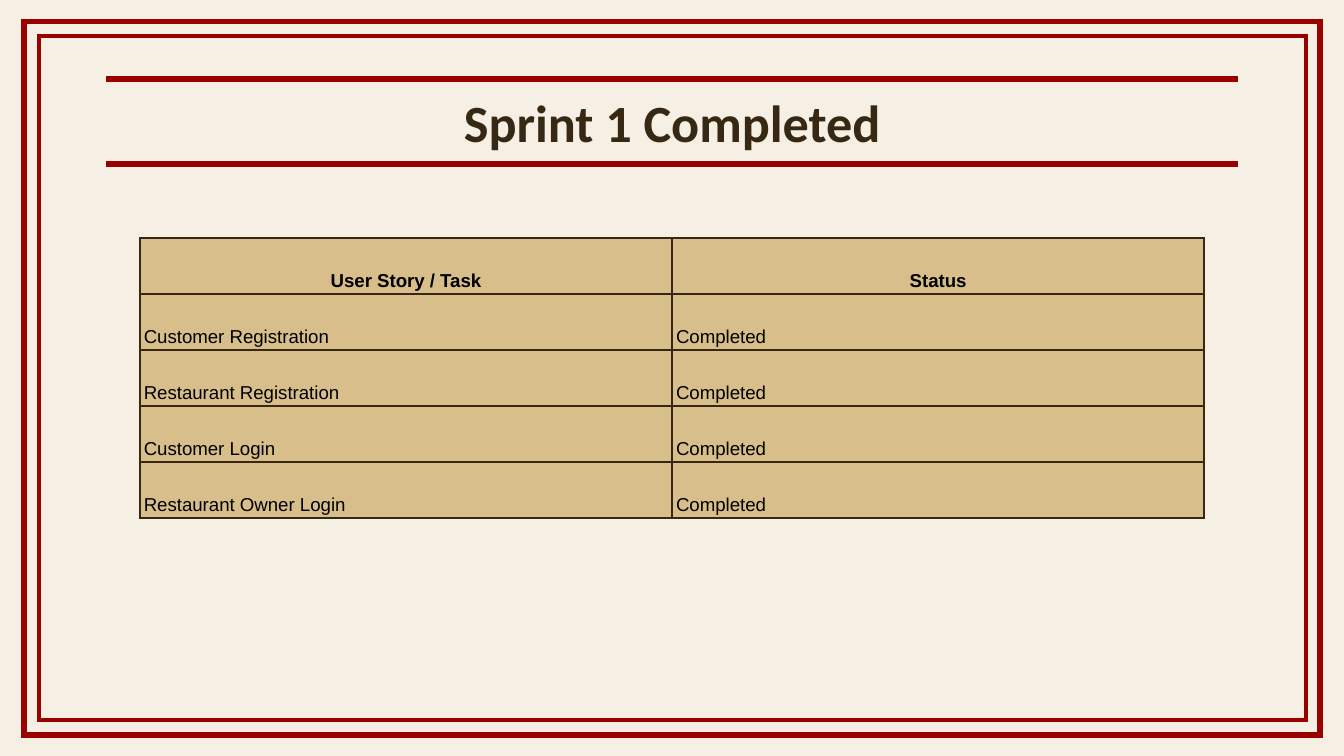
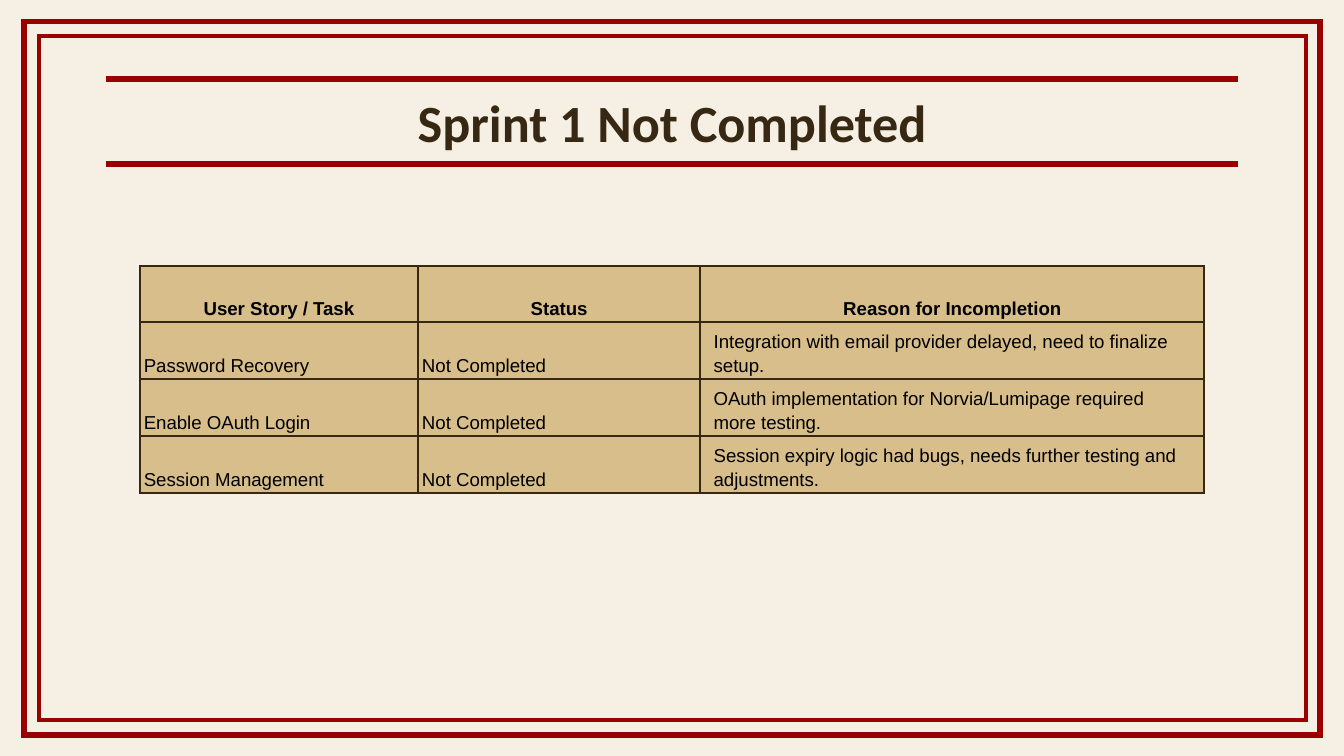
from lxml import etree
from pptx import Presentation
from pptx.dml.color import RGBColor
from pptx.enum.shapes import MSO_CONNECTOR, MSO_SHAPE
from pptx.enum.text import MSO_ANCHOR, PP_ALIGN
from pptx.oxml import parse_xml
from pptx.oxml.ns import nsdecls, qn
from pptx.util import Inches, Pt

RECT, STRAIGHT = MSO_SHAPE.RECTANGLE, MSO_CONNECTOR.STRAIGHT
MIDDLE, BOTTOM = MSO_ANCHOR.MIDDLE, MSO_ANCHOR.BOTTOM
LEFT, CENTER = PP_ALIGN.LEFT, PP_ALIGN.CENTER

CREAM = RGBColor(0xF6, 0xF0, 0xE4)
RED = RGBColor(0x99, 0x00, 0x00)
BROWN = RGBColor(0x37, 0x28, 0x14)
TAN = RGBColor(0xD8, 0xBE, 0x8B)
BLACK = RGBColor(0x00, 0x00, 0x00)

WIDTH = 10
HEIGHT = WIDTH * 9 / 16
FRAMES = [((0.18, 0.16, 9.64, 5.31), 3), ((0.29, 0.27, 9.43, 5.09), 2.25)]
TITLE_BOX = (0.79, 0.59, 8.42, 0.63)
TABLE_LEFT, ROW_HEIGHT = 1.04, 5 / 12
NARROW, WIDE = 0.03, 0.1

TITLE_FONT = {"name": "Calibri", "size": Pt(28), "bold": True}
HEAD_FONT = {"name": "Arial", "size": Pt(10), "bold": True}
BODY_FONT = {**HEAD_FONT, "bold": False}

SLIDES = [
    {
        "title": "Sprint 1 Completed",
        "top": 1.77,
        "widths": [3.96, 3.96],
        "rows": [
            ["User Story / Task", "Status"],
            ["Customer Registration", "Completed"],
            ["Restaurant Registration", "Completed"],
            ["Customer Login", "Completed"],
            ["Restaurant Owner Login", "Completed"],
        ],
    },
    {
        "title": "Sprint 1 Not Completed",
        "top": 1.98,
        "widths": [2.07, 2.1, 3.75],
        "rows": [
            ["User Story / Task", "Status", "Reason for Incompletion"],
            ["Password Recovery", "Not Completed",
             "Integration with email provider delayed, need to finalize setup."],
            ["Enable OAuth Login", "Not Completed",
             "OAuth implementation for Norvia/Lumipage required more testing."],
            ["Session Management", "Not Completed",
             "Session expiry logic had bugs, needs further testing and adjustments."],
        ],
    },
]


def set_attrs(obj, values):
    """Set each named attribute of an object."""
    for name, value in values.items():
        setattr(obj, name, value)


def write(tf, text, font, color, align, spacing=1.0):
    """Write one formatted paragraph into a text frame."""
    p = tf.paragraphs[0]
    set_attrs(p, {"alignment": align, "line_spacing": spacing})
    r = p.add_run()
    r.text = text
    set_attrs(r.font, font)
    r.font.color.rgb = color


def add_frame(s):
    """Draw the background and the double border with square corners."""
    s.background.fill.solid()
    s.background.fill.fore_color.rgb = CREAM
    for box, weight in FRAMES:
        sp = s.shapes.add_shape(RECT, *map(Inches, box))
        sp.shadow.inherit = False
        sp.fill.background()
        sp.line.color.rgb = RED
        sp.line.width = Pt(weight)
        ln = sp._element.spPr.find(qn("a:ln"))
        etree.SubElement(ln, qn("a:miter")).set("lim", "800000")


def add_title(s, box, text):
    """Draw the title between a rule above and a rule below."""
    x, y, w, h = box
    tf = s.shapes.add_textbox(*map(Inches, box)).text_frame
    sides = ("margin_left", "margin_top", "margin_right", "margin_bottom")
    set_attrs(tf, {"word_wrap": True, "vertical_anchor": MIDDLE,
                   **dict.fromkeys(sides, Inches(0.1))})
    write(tf, text, TITLE_FONT, BROWN, CENTER)
    for rule_y in (y, y + h):
        ends = (x, rule_y, x + w, rule_y)
        rule = s.shapes.add_connector(STRAIGHT, *map(Inches, ends))
        rule.line.color.rgb = RED
        rule.line.width = Pt(3)
        etree.SubElement(rule._element.spPr, qn("a:effectLst"))


def style_cell(cell, pad):
    """Give a cell its borders, fill and margins."""
    tc_pr = cell._tc.get_or_add_tcPr()
    for side in ("lnL", "lnR", "lnT", "lnB"):
        tc_pr.append(parse_xml(
            f'<a:{side} {nsdecls("a")} w="{Pt(1)}"><a:solidFill>'
            f'<a:srgbClr val="{BROWN}"/></a:solidFill></a:{side}>'))
    cell.fill.solid()
    cell.fill.fore_color.rgb = TAN
    set_attrs(cell, {"vertical_anchor": BOTTOM,
                     "margin_left": Inches(pad), "margin_right": Inches(pad),
                     "margin_top": Inches(0.02), "margin_bottom": Inches(0.02)})


def add_status_table(s, x, y, widths, rows):
    """Draw the table of tasks and their status."""
    box = (x, y, sum(widths), ROW_HEIGHT * len(rows))
    table = s.shapes.add_table(len(rows), len(widths), *map(Inches, box)).table
    set_attrs(table, {"first_row": False, "horz_banding": False})
    for column, width in zip(table.columns, widths):
        column.width = Inches(width)
    for i, row in enumerate(rows):
        table.rows[i].height = Inches(ROW_HEIGHT)
        font, align = (BODY_FONT, LEFT) if i else (HEAD_FONT, CENTER)
        for j, text in enumerate(row):
            cell = table.cell(i, j)
            style_cell(cell, WIDE if j == 2 or i == j == 0 else NARROW)
            write(cell.text_frame, text, font, BLACK, align, 1.15)


def add_sprint_slide(prs, title, top, widths, rows):
    """Add one slide with a framed title and a status table."""
    s = prs.slides.add_slide(prs.slide_layouts[6])
    add_frame(s)
    add_title(s, TITLE_BOX, title)
    add_status_table(s, TABLE_LEFT, top, widths, rows)


def main():
    """Build and save the presentation."""
    prs = Presentation()
    set_attrs(prs, {"slide_width": Inches(WIDTH), "slide_height": Inches(HEIGHT)})
    for content in SLIDES:
        add_sprint_slide(prs, **content)
    prs.save("out.pptx")


if __name__ == "__main__":
    main()
